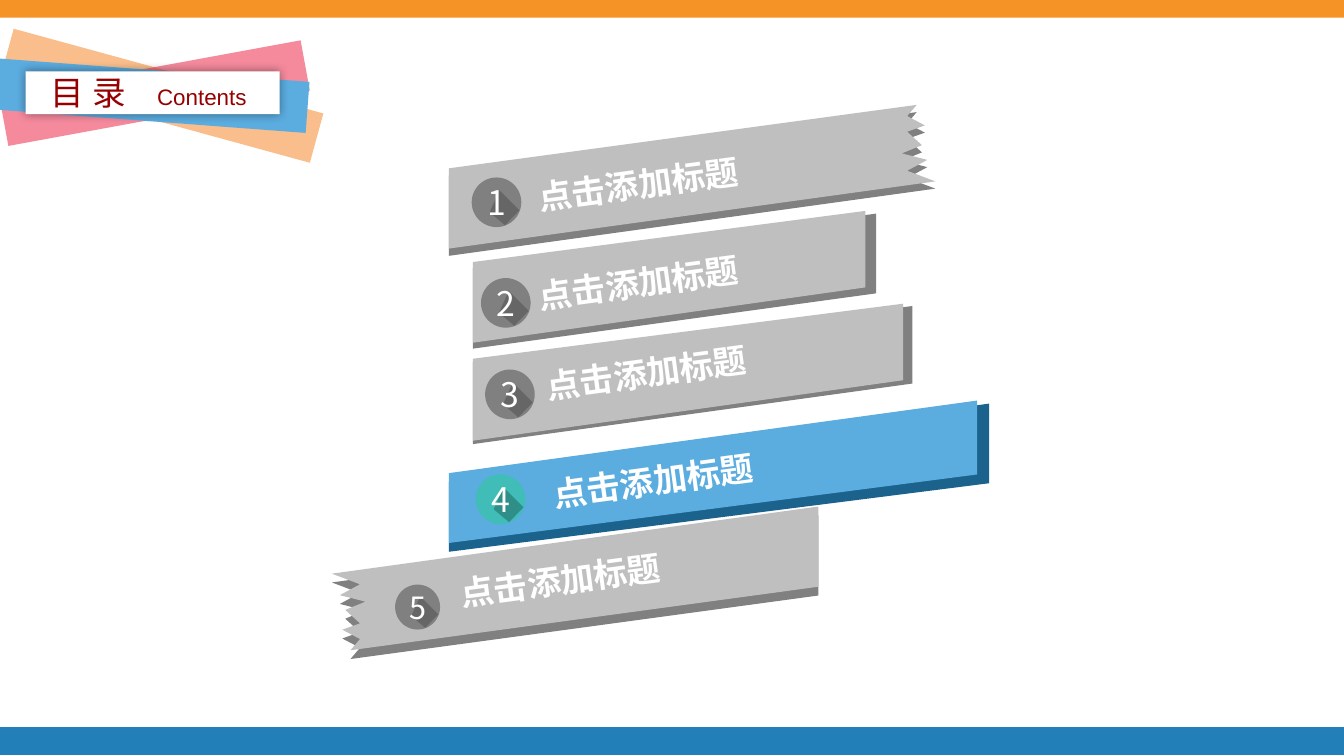
from lxml import etree
from pptx import Presentation
from pptx.dml.color import RGBColor
from pptx.enum.shapes import MSO_SHAPE
from pptx.enum.text import MSO_ANCHOR, MSO_AUTO_SIZE, PP_ALIGN
from pptx.oxml import parse_xml
from pptx.oxml.ns import qn
from pptx.util import Pt

RECT, OVAL = MSO_SHAPE.RECTANGLE, MSO_SHAPE.OVAL
FIT, NO_FIT = MSO_AUTO_SIZE.SHAPE_TO_FIT_TEXT, MSO_AUTO_SIZE.NONE
LEFT, CENTER, JUSTIFY = PP_ALIGN.LEFT, PP_ALIGN.CENTER, PP_ALIGN.JUSTIFY
MIDDLE = MSO_ANCHOR.MIDDLE
CJK, LATIN = "Noto Sans CJK SC", "Arial"
WHITE, BLUE, DARK_RED = "FFFFFF", "5BACDF", "960000"
MUTED = ("BFBFBF", "808080", "808080", "595959")  # face, edge, disc, shade
ACTIVE = (BLUE, "1B628D", "40BDB6", "287672")
TILT = -7.7
A_NS = "http://schemas.openxmlformats.org/drawingml/2006/main"

# Torn ribbon: straight left end, zigzag right end
TORN_W, TORN_H = 262, 77
TORN = [(0, 77), (0, 34), (250.6, 0), (245.5, 6), (255, 11), (245.5, 14.4), (253.4, 21.6),
        (242.6, 26), (256.3, 29.5), (245.5, 35.3), (260.6, 41)]


def torn_ribbon(depth, turned=False):
    front = [(TORN_W - x, TORN_H - y) for x, y in TORN] if turned else TORN
    return front, [(x, y + depth) for x, y in front]


def plain_ribbon(width, top, bottom, right_h, side, depth):
    """Slanted band and its thickness, seen at the right side and below."""
    front = [(0, top), (width, 0), (width, right_h), (0, bottom)]
    edge = width + side
    back = [(0, top + depth), (edge, side / 4), (edge, right_h + depth), (0, bottom + depth)]
    return front, back


def paint(shape, color, alpha=None, rotation=0):
    shape.shadow.inherit = False
    shape.fill.solid()
    shape.fill.fore_color.rgb = RGBColor.from_string(color)
    shape.line.fill.background()
    shape.rotation = rotation
    if alpha:
        color_tag = next(shape._element.spPr.iter(qn("a:srgbClr")))
        etree.SubElement(color_tag, qn("a:alpha"), val=str(alpha * 1000))
    return shape


def add_preset(shapes, kind, x, y, w, h, color, **look):
    return paint(shapes.add_shape(kind, Pt(x), Pt(y), Pt(w), Pt(h)), color, **look)


def add_outline(shapes, x, y, points, color, **look):
    corners = [(Pt(x + px), Pt(y + py)) for px, py in points]
    builder = shapes.build_freeform(*corners[0], scale=1.0)
    builder.add_line_segments(corners[1:], close=True)
    return paint(builder.convert_to_shape(), color, **look)


def add_text(shapes, text, x, y, w, h, size=18, font=CJK, color=WHITE, bold=False,
             align=LEFT, wrap=False, rotation=0, centered=False):
    box = shapes.add_textbox(Pt(x), Pt(y), Pt(w), Pt(h))
    box.rotation = rotation
    frame = box.text_frame
    frame.word_wrap = wrap
    frame.auto_size = FIT
    if centered:
        frame.auto_size, frame.vertical_anchor, align = NO_FIT, MIDDLE, CENTER
        frame.margin_left = frame.margin_right = frame.margin_top = frame.margin_bottom = 0
    paragraph = frame.paragraphs[0]
    paragraph.alignment = align
    run = paragraph.add_run()
    run.text = text
    run.font.size, run.font.bold, run.font.name = Pt(size), bold, font
    run.font.color.rgb = RGBColor.from_string(color)
    etree.SubElement(run._r.get_or_add_rPr(), qn("a:ea"), typeface=font)


def add_page_bars(shapes, width, height):
    add_preset(shapes, RECT, 0, height - 15.5, width, 15, "237FB7")
    add_preset(shapes, RECT, 0, 0, width, 9.5, "F69326")


def add_heading(shapes, x, y):
    # Crossed strips
    add_preset(shapes, RECT, x, y + 2, 172, 27.4, "F79C4D", alpha=65, rotation=15.3)
    add_preset(shapes, RECT, x, y + 0.6, 164.2, 27.4, "F04060", alpha=61, rotation=-10.4)
    strip = [(0, 0), (166.3, 0), (166.3, 27.4), (2, 27.4)]
    add_outline(shapes, x - 2, y + 2, strip, BLUE, rotation=4.3)
    # White plate with a soft shadow
    plate = add_preset(shapes, RECT, x + 13, y + 2.6, 136.1, 23, WHITE)
    effects = plate._element.spPr.find(qn("a:effectLst"))
    effects.append(parse_xml(
        f'<a:outerShdw xmlns:a="{A_NS}" blurRad="{Pt(5)}" dist="0" dir="0" algn="ctr" '
        'rotWithShape="0"><a:srgbClr val="000000"><a:alpha val="40000"/></a:srgbClr>'
        '</a:outerShdw>'))
    add_text(shapes, "目 录", x + 19.5, y - 0.5, 56.2, 28.8, color=DARK_RED)
    add_text(shapes, "Contents", x + 76.4, y + 5.2, 62.6, 21.6, size=12, font=LATIN,
             color=DARK_RED)


def add_badge(shapes, x, y, size, number, disc, shade):
    add_preset(shapes, OVAL, x, y, size, size, disc)
    # Long shadow of the numeral, down to the rim of the disc
    shadow = [(0.56, 0.26), (0.96, 0.66), (0.67, 0.96), (0.36, 0.7)]
    add_outline(shapes, x, y, [(px * size, py * size) for px, py in shadow], shade, alpha=65)
    add_text(shapes, str(number), x, y, size, size, size=size * 0.68, centered=True)


def add_ribbon(shapes, x, y, number, bands, title, badge, badge_size=26.6, colors=MUTED):
    face, edge, disc, shade = colors
    front, back = bands
    group = shapes.add_group_shape().shapes
    add_outline(group, x, y, back, edge)
    add_outline(group, x, y, front, face)
    title_x, title_y, title_w = title
    add_text(group, "点击添加标题", x + title_x, y + title_y, title_w, 28.8, bold=True,
             align=JUSTIFY, wrap=True, rotation=TILT)
    add_badge(group, x + badge[0], y + badge[1], badge_size, number, disc, shade)


def main():
    prs = Presentation()
    prs.slide_width, prs.slide_height = Pt(720), Pt(405)
    shapes = prs.slides.add_slide(prs.slide_layouts[6]).shapes
    add_page_bars(shapes, 720, 405)
    add_heading(shapes, 0.7, 35.6)
    # Ribbons from back to front; title (x, y, width) and badge (x, y) from the ribbon's corner
    add_ribbon(shapes, 240.5, 56.2, 1, torn_ribbon(3.9), (40.3, 25.9, 154.8), (12.2, 38.9))
    add_ribbon(shapes, 176.4, 271.4, 5, torn_ribbon(4.7, turned=True),
               (62.6, 20.9, 182.2), (35.3, 41.8), badge_size=24.1)
    add_ribbon(shapes, 253.4, 113, 2, plain_ribbon(210.2, 27.4, 70.6, 41, 5.8, 3.2),
               (27.4, 20.9, 167), (4.3, 36))
    add_ribbon(shapes, 253.4, 162.7, 3, plain_ribbon(230.4, 29.5, 73.4, 41, 5, 1.8),
               (31.7, 19.4, 169.2), (6.5, 35.3))
    add_ribbon(shapes, 240.5, 214.6, 4, plain_ribbon(283, 38.9, 76.3, 39.6, 6.4, 4.7),
               (48.2, 24.5, 182.2), (14.4, 39.6), colors=ACTIVE)
    prs.save("out.pptx")


if __name__ == "__main__":
    main()
